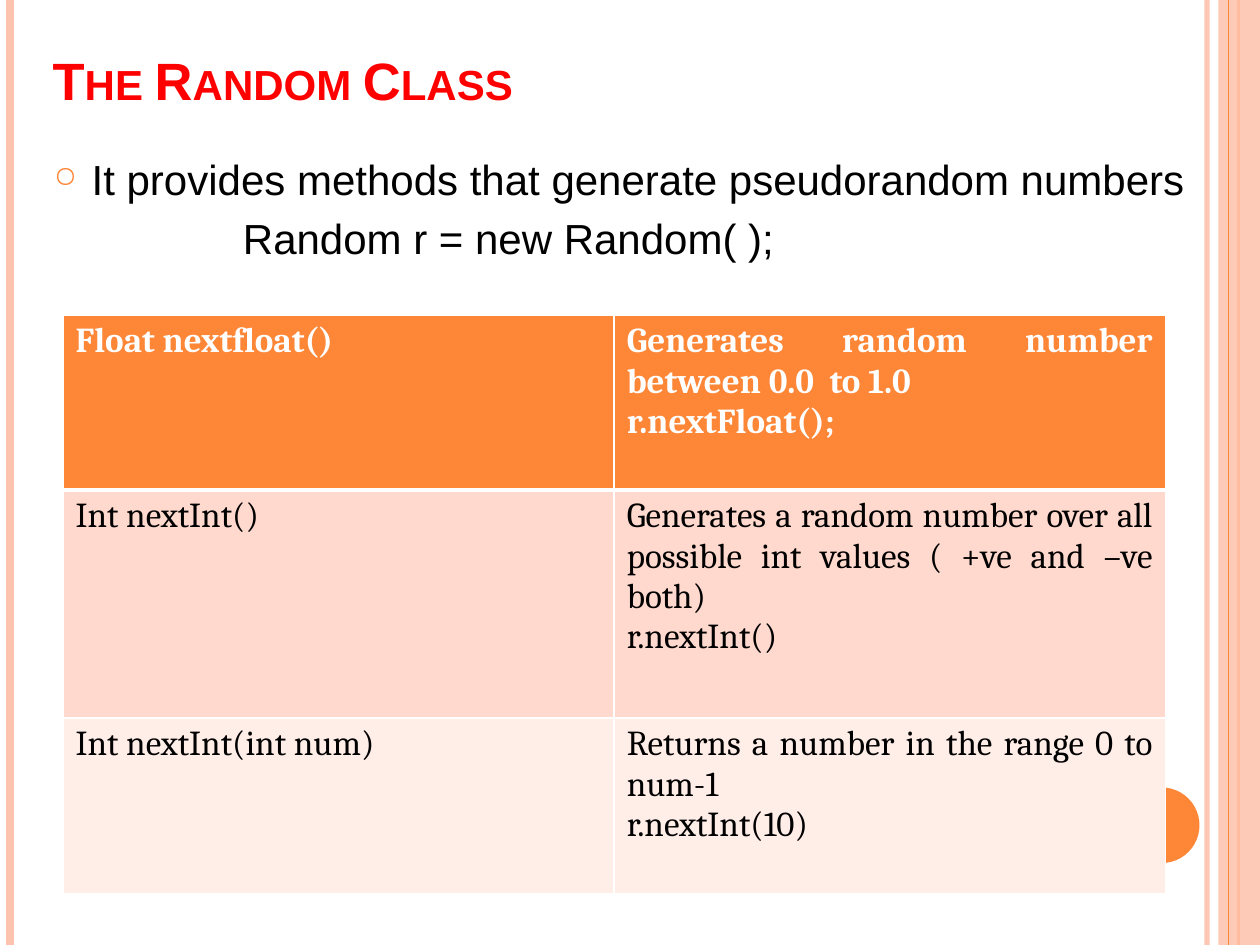
from dataclasses import dataclass

from lxml.etree import SubElement
from pptx import Presentation
from pptx.dml.color import RGBColor
from pptx.enum.shapes import MSO_CONNECTOR, MSO_SHAPE
from pptx.enum.text import MSO_ANCHOR, PP_ALIGN
from pptx.oxml.ns import qn
from pptx.util import Inches, Pt

COLORS = {
    "orange": "FE8637",
    "peach": "FEC3AE",
    "band_dark": "FFD9CE",
    "band_light": "FFEDE8",
    "red": "FF0000",
    "black": "000000",
    "white": "FFFFFF",
}
SLIDE_WIDTH, SLIDE_HEIGHT = 10, 7.5


@dataclass
class Stripe:
    x: float
    color: str
    width: float
    opacity: int = 100


@dataclass
class Panel:
    kind: MSO_SHAPE
    box: tuple[float, float, float, float]
    color: str
    opacity: int = 100


@dataclass
class MethodRow:
    height: float
    fill: str
    text_color: str
    bold: bool
    signature: str
    description: list[str]


STRIPES_BEHIND = [
    Stripe(9.58, "peach", 3, 93),
    Stripe(0.08, "peach", 4.5),
    Stripe(9.83, "orange", 1.5),
]
SIDE_BAND = Panel(MSO_SHAPE.RECTANGLE, (9.67, 0, 0.33, SLIDE_HEIGHT), "peach", 87)
BAND_STRIPE = Stripe(9.75, "orange", 0.75)
CORNER_DOT = Panel(MSO_SHAPE.OVAL, (8.92, 6.25, 0.6, 0.6), "orange")

METHODS = [
    MethodRow(1.39, "orange", "white", True, "Float nextfloat()",
              ["Generates random number between 0.0  to 1.0", "r.nextFloat();"]),
    MethodRow(1.81, "band_dark", "black", False, "Int nextInt()",
              ["Generates a random number over all possible int values ( +ve and –ve both)",
               "r.nextInt()"]),
    MethodRow(1.39, "band_light", "black", False, "Int nextInt(int num)",
              ["Returns a number in the range 0 to num-1", "r.nextInt(10)"]),
]

TITLE_FONT = {"name": "Arial", "size": Pt(30), "bold": True}
BODY_FONT = {"name": "Arial", "size": Pt(24)}
CELL_FONT = {"name": "Cambria", "size": Pt(20)}


def rgb(color: str) -> RGBColor:
    return RGBColor.from_string(COLORS[color])


def set_opacity(properties, percent: int) -> None:
    if percent < 100:
        color = next(properties.iter(qn("a:srgbClr")))
        SubElement(color, qn("a:alpha"), val=str(percent * 1000))


def add_stripe(slide, stripe: Stripe) -> None:
    x = Inches(stripe.x)
    connector = slide.shapes.add_connector(
        MSO_CONNECTOR.STRAIGHT, x, 0, x, Inches(SLIDE_HEIGHT))
    connector.line.color.rgb = rgb(stripe.color)
    connector.line.width = Pt(stripe.width)
    properties = connector._element.spPr
    set_opacity(properties, stripe.opacity)
    SubElement(properties, qn("a:effectLst"))


def add_panel(slide, panel: Panel) -> None:
    shape = slide.shapes.add_shape(panel.kind, *map(Inches, panel.box))
    shape.shadow.inherit = False
    shape.fill.solid()
    shape.fill.fore_color.rgb = rgb(panel.color)
    shape.line.fill.background()
    set_opacity(shape._element.spPr, panel.opacity)


def write(paragraph, text: str, formats: dict, color: str):
    run = paragraph.add_run()
    run.text = text
    for attribute, value in formats.items():
        setattr(run.font, attribute, value)
    run.font.color.rgb = rgb(color)
    return run


def add_text_frame(slide, box: tuple[float, float, float, float]):
    frame = slide.shapes.add_textbox(*map(Inches, box)).text_frame
    frame.word_wrap = True
    return frame


def indent(paragraph, left: float, first: float = 0):
    properties = paragraph._p.get_or_add_pPr()
    properties.set("marL", str(Inches(left)))
    properties.set("indent", str(Inches(first)))
    return properties


def add_bullet(properties, character: str, color: str, percent: int) -> None:
    bullet_color = SubElement(properties, qn("a:buClr"))
    SubElement(bullet_color, qn("a:srgbClr"), val=COLORS[color])
    SubElement(properties, qn("a:buSzPct"), val=str(percent * 1000))
    SubElement(properties, qn("a:buChar"), char=character)


def set_borders(cell, widths: dict[str, float]) -> None:
    properties = cell._tc.get_or_add_tcPr()
    for position, (side, width) in enumerate(widths.items()):
        border = properties.makeelement(qn(f"a:{side}"), {"w": str(Pt(width))})
        fill = SubElement(border, qn("a:solidFill"))
        SubElement(fill, qn("a:srgbClr"), val=COLORS["white"])
        properties.insert(position, border)


def add_method_table(slide, rows: list[MethodRow]) -> None:
    height = sum(row.height for row in rows)
    table = slide.shapes.add_table(
        len(rows), 2, Inches(0.5), Inches(2.5), Inches(8.75), Inches(height)).table
    for r, row in enumerate(rows):
        table.rows[r].height = Inches(row.height)
        # The rule under the header is heavier than the others
        borders = {"lnL": 1, "lnR": 1, "lnT": 3 if r == 1 else 1, "lnB": 3 if r == 0 else 1}
        for c, lines in enumerate([[row.signature], row.description]):
            cell = table.cell(r, c)
            cell.fill.solid()
            cell.fill.fore_color.rgb = rgb(row.fill)
            set_borders(cell, borders)
            for i, line in enumerate(lines):
                frame = cell.text_frame
                paragraph = frame.add_paragraph() if i else frame.paragraphs[0]
                paragraph.alignment = PP_ALIGN.JUSTIFY
                write(paragraph, line, CELL_FONT | {"bold": row.bold}, row.text_color)


def main() -> None:
    deck = Presentation()
    deck.slide_width, deck.slide_height = Inches(SLIDE_WIDTH), Inches(SLIDE_HEIGHT)
    slide = deck.slides.add_slide(deck.slide_layouts[6])

    # Side decoration
    for stripe in STRIPES_BEHIND:
        add_stripe(slide, stripe)
    add_panel(slide, SIDE_BAND)
    add_stripe(slide, BAND_STRIPE)
    add_panel(slide, CORNER_DOT)

    # Title in small capitals
    heading = add_text_frame(slide, (0.32, 0.1, 9.17, 0.83))
    heading.vertical_anchor = MSO_ANCHOR.BOTTOM
    title = write(heading.paragraphs[0], "The Random Class", TITLE_FONT, "red")
    title.font._element.set("cap", "small")

    # Introduction and constructor call
    body = add_text_frame(slide, (0.33, 1.17, 9.33, 6.08))
    purpose, constructor = body.paragraphs[0], body.add_paragraph()
    for paragraph, space in ((purpose, 6), (constructor, 4.8)):
        paragraph.alignment = PP_ALIGN.JUSTIFY
        paragraph.space_before = Pt(space)
    add_bullet(indent(purpose, 0.3, -0.3), "○", "orange", 70)
    indent(constructor, 1.5)
    write(purpose, "It provides methods that generate pseudorandom numbers", BODY_FONT, "black")
    write(constructor, "Random r = new Random( );", BODY_FONT, "black")

    # Methods of the class
    add_method_table(slide, METHODS)

    deck.save("out.pptx")


if __name__ == "__main__":
    main()
